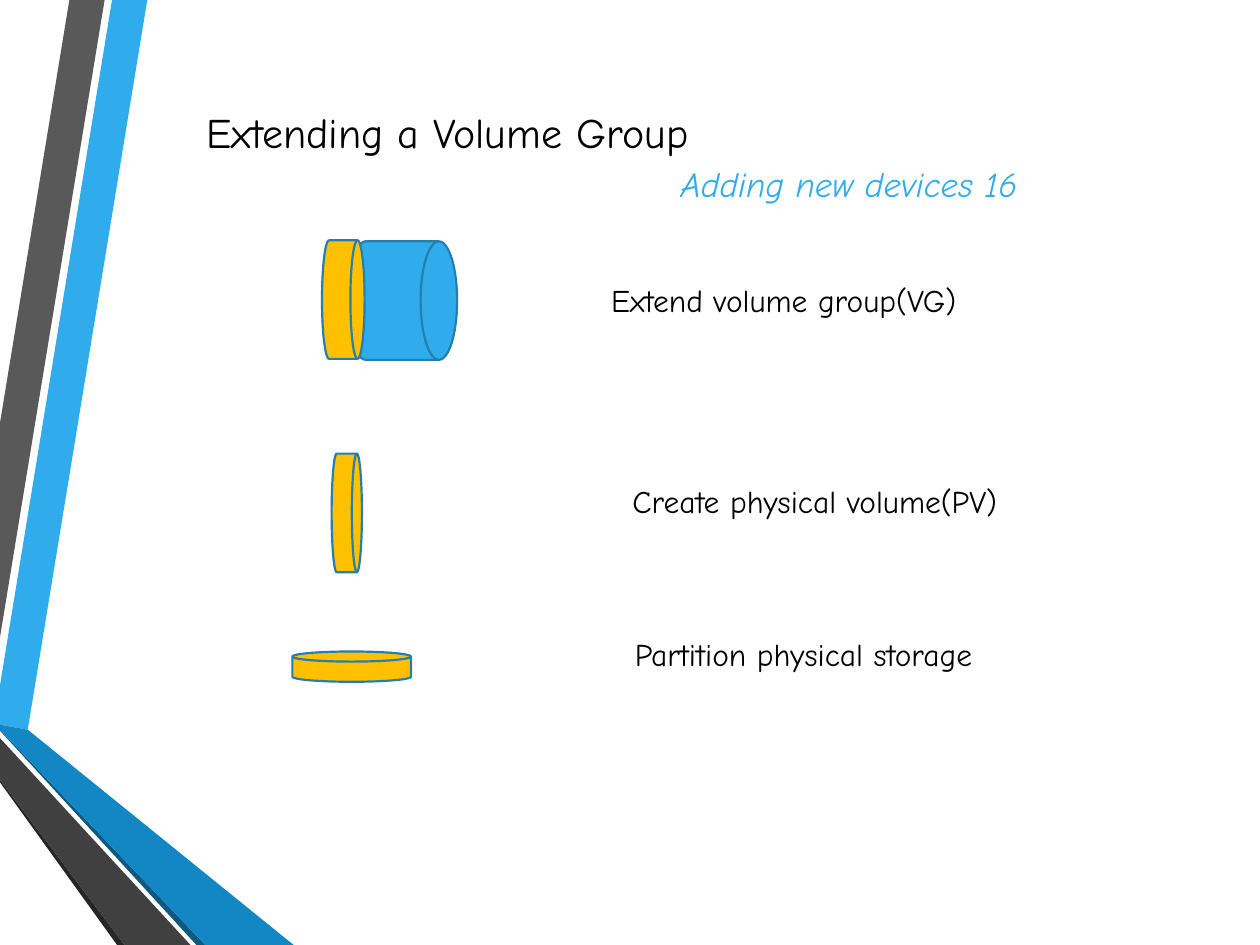
from dataclasses import dataclass

import pptx
import pptx.dml.color
import pptx.enum.shapes
import pptx.enum.text
import pptx.util

Cm = pptx.util.Cm


@dataclass(frozen=True)
class Theme:
    font: str = "Comic Neue"
    ink: str = "000000"
    blue: str = "30ACEC"
    deep_blue: str = "1287C3"
    dark_blue: str = "0C5A82"
    outline: str = "247FAF"
    amber: str = "FFC000"
    gray: str = "595959"
    dark_gray: str = "404040"
    charcoal: str = "262626"
    title_size: int = 24
    subtitle_size: int = 20
    label_size: int = 18
    line_width: float = 1.25


@dataclass(frozen=True)
class Box:
    """Place and size in centimetres."""
    left: float
    top: float
    width: float
    height: float


THEME = Theme()
PAGE = Box(0, 0, 25.4, 19.05)
DISK_DIAMETER = 2.39
LABEL_HEIGHT = 1.02

# Corners in centimetres from the top left of the page, back to front.
RIBBONS = [
    (THEME.blue, [(0, 13.82), (0, 14.61), (0.56, 14.71), (2.97, 0), (2.26, 0)]),
    (THEME.gray, [(2.11, 0), (1.4, 0), (0, 8.53), (0, 12.85)]),
    (THEME.charcoal, [(0, 15.72), (0, 15.77), (2.36, 19.05), (2.51, 19.05)]),
    (THEME.dark_blue, [(0, 14.71), (0, 14.73), (3.96, 19.05), (4.14, 19.05)]),
    (THEME.deep_blue, [(0, 14.71), (4.14, 19.05), (5.92, 19.05),
                       (0.56, 14.71), (0, 14.61)]),
    (THEME.dark_gray, [(0, 15.72), (2.51, 19.05), (3.84, 19.05), (0, 14.88)]),
]

# Step box, label, label offset from the box's left and top,
# disks as (centre x, centre y, thickness, rotation, colour) in the box.
STEPS = [
    (Box(5.89, 4.83, 15.1, 2.44), "Extend volume group(VG)", (6.18, 0.71),
     [(2.22, 1.23, 2.21, 90, THEME.blue), (1.03, 1.21, 0.86, 90, THEME.amber)]),
    (Box(5.89, 9.12, 16.03, 2.44), "Create physical volume(PV)", (6.61, 0.48),
     [(1.1, 1.22, 0.61, 90, THEME.amber)]),
    (Box(5.89, 12.67, 15.3, 1.02), "Partition physical storage", (6.66, 0),
     [(1.2, 0.77, 0.61, 0, THEME.amber)]),
]


def rgb(color):
    return pptx.dml.color.RGBColor.from_string(color)


def add_text_box(page, box, wrap=True):
    frame = page.shapes.add_textbox(
        Cm(box.left), Cm(box.top), Cm(box.width), Cm(box.height)).text_frame
    frame.word_wrap = wrap
    frame.auto_size = pptx.enum.text.MSO_AUTO_SIZE.SHAPE_TO_FIT_TEXT
    return frame


def write(para, text, *, size, color=THEME.ink, italic=False, indent=0, before=0):
    span = para.add_run()
    span.text = text
    span.font.name = THEME.font
    span.font.size = pptx.util.Pt(size)
    span.font.italic = italic
    span.font.color.rgb = rgb(color)
    para.space_before = pptx.util.Pt(before)
    if indent:
        para._p.get_or_add_pPr().set("marL", str(int(Cm(indent))))


def add_ribbons(page, box):
    for color, corners in RIBBONS:
        start, *rest = [(Cm(box.left + x), Cm(box.top + y)) for x, y in corners]
        outline = page.shapes.build_freeform(*start)
        outline.add_line_segments(rest, close=True)
        ribbon = outline.convert_to_shape()
        ribbon.shadow.inherit = False
        ribbon.fill.solid()
        ribbon.fill.fore_color.rgb = rgb(color)
        ribbon.line.fill.background()


def add_heading(page, box):
    frame = add_text_box(page, box)
    write(frame.paragraphs[0], "Extending a Volume Group", size=THEME.title_size)
    write(frame.add_paragraph(), "Adding new devices 16", size=THEME.subtitle_size,
          color=THEME.blue, italic=True, indent=9.56, before=3)


def add_disk(page, center_x, center_y, thickness, rotation, color):
    disk = page.shapes.add_shape(
        pptx.enum.shapes.MSO_SHAPE.FLOWCHART_MAGNETIC_DISK,
        Cm(center_x - DISK_DIAMETER / 2), Cm(center_y - thickness / 2),
        Cm(DISK_DIAMETER), Cm(thickness))
    disk.rotation = rotation
    disk.shadow.inherit = False
    disk.fill.solid()
    disk.fill.fore_color.rgb = rgb(color)
    disk.line.color.rgb = rgb(THEME.outline)
    disk.line.width = pptx.util.Pt(THEME.line_width)


def add_step(page, box, label, label_offset, disks):
    for x, y, *style in disks:
        add_disk(page, box.left + x, box.top + y, *style)
    x, y = label_offset
    label_box = Box(box.left + x, box.top + y, box.width - x, LABEL_HEIGHT)
    frame = add_text_box(page, label_box, wrap=False)
    write(frame.paragraphs[0], label, size=THEME.label_size)


def main():
    deck = pptx.Presentation()
    deck.slide_width, deck.slide_height = Cm(PAGE.width), Cm(PAGE.height)
    page = deck.slides.add_slide(deck.slide_layouts[6])
    add_ribbons(page, PAGE)
    for step in STEPS:
        add_step(page, *step)
    add_heading(page, Box(3.91, 2.03, 19, 2.31))
    deck.save("out.pptx")


if __name__ == "__main__":
    main()
